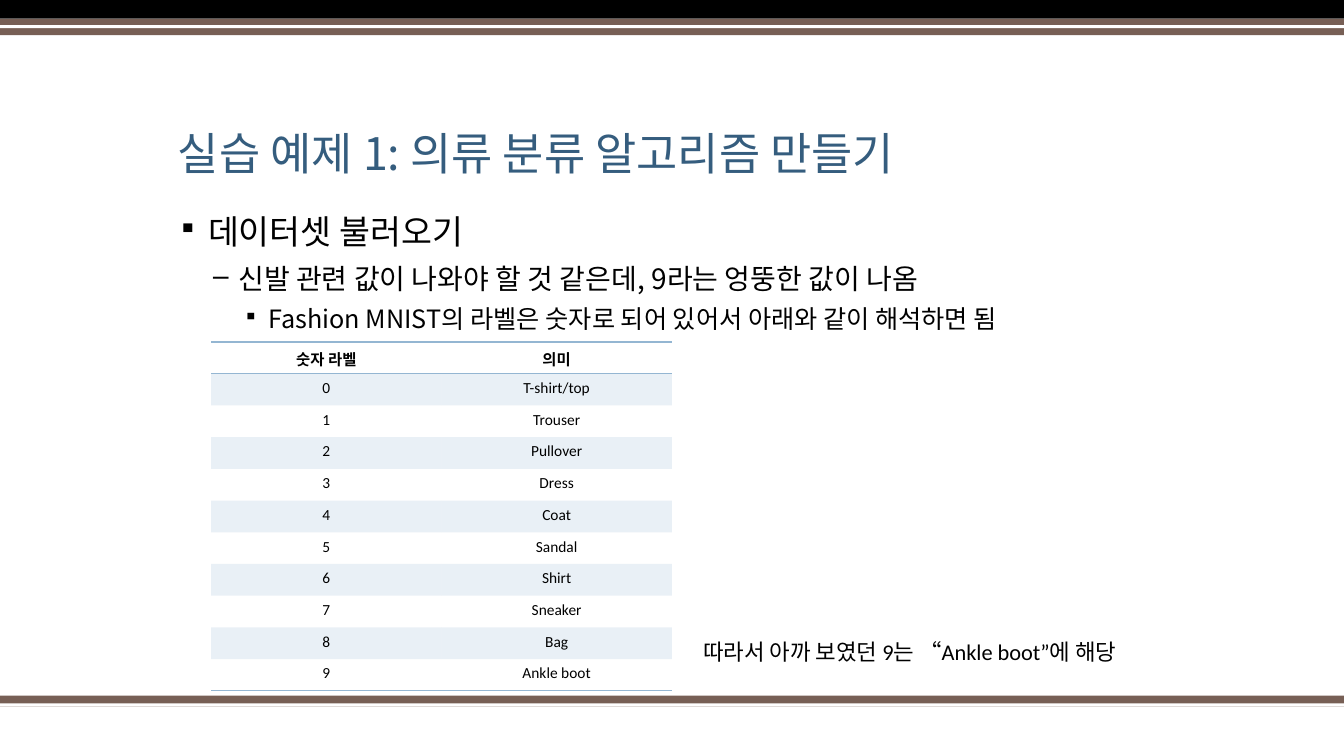
from dataclasses import dataclass

from lxml import etree
from pptx import Presentation
from pptx.dml.color import RGBColor
from pptx.enum.shapes import MSO_SHAPE
from pptx.enum.text import MSO_ANCHOR, PP_ALIGN
from pptx.oxml.ns import qn
from pptx.util import Pt

RECTANGLE = MSO_SHAPE.RECTANGLE
TOP, MIDDLE, BOTTOM = MSO_ANCHOR.TOP, MSO_ANCHOR.MIDDLE, MSO_ANCHOR.BOTTOM
LEFT, CENTER = PP_ALIGN.LEFT, PP_ALIGN.CENTER


@dataclass(frozen=True)
class Theme:
    black: str = "000000"
    white: str = "FFFFFF"
    brown: str = "775F55"
    navy: str = "355D7E"
    sky: str = "94B6D2"
    korean: str = "Noto Sans CJK KR"
    latin: str = "Calibri"
    title: int = 32
    levels: tuple = (24, 20, 18)
    note: int = 16
    cell: int = 11


theme = Theme()


def style_text(para, size, latin, color=theme.black, bold=False):
    for span in para.runs:
        span.font.size = Pt(size)
        span.font.name = latin
        span.font.bold = bold
        span.font.color.rgb = RGBColor.from_string(color)
        east_asian = etree.SubElement(span.font._element, qn("a:ea"))
        east_asian.set("typeface", theme.korean)


def add_box(left, top, width, height, anchor):
    box = page.shapes.add_textbox(Pt(left), Pt(top), Pt(width), Pt(height))
    box.text_frame.word_wrap = True
    box.text_frame.vertical_anchor = anchor
    return box.text_frame


deck = Presentation()
deck.slide_width, deck.slide_height = Pt(960), Pt(540)
page = deck.slides.add_slide(deck.slide_layouts[6])

bands = [
    (496.8, 7.92, theme.brown),
    (502.4, 2.3, theme.white),
    (0, 13.4, theme.black),
    (13.4, 11.7, theme.brown),
    (18, 2.2, theme.white),
]
for top, height, color in bands:
    band = page.shapes.add_shape(RECTANGLE, 0, Pt(top), deck.slide_width, Pt(height))
    band.shadow.inherit = False
    band.fill.solid()
    band.fill.fore_color.rgb = RGBColor.from_string(color)
    band.line.fill.background()

title = add_box(120, 48, 720, 84, BOTTOM)
title.text = "실습 예제 1: 의류 분류 알고리즘 만들기"
title.paragraphs[0].line_spacing = 0.9
style_text(title.paragraphs[0], theme.title, theme.korean, theme.navy)

outline = [
    ("데이터셋 불러오기", "▪", 80, 21.6, 21.6, 0),
    ("신발 관련 값이 나와야 할 것 같은데, 9라는 엉뚱한 값이 나옴", "–", 100, 43.2, 18, 10),
    ("Fashion MNIST의 라벨은 숫자로 되어 있어서 아래와 같이 해석하면 됨", "▪", 80, 64.8, 18, 8),
]
body = add_box(120, 150, 720, 342, TOP)
body.text = "\n".join(item[0] for item in outline)
for level, (para, item) in enumerate(zip(body.paragraphs, outline)):
    words, mark, percent, margin, hanging, before = item
    para.level = level
    para.alignment = LEFT
    para.line_spacing = 0.9
    para.space_before = Pt(before)
    properties = para._p.get_or_add_pPr()
    properties.set("marL", str(Pt(margin)))
    properties.set("indent", str(-Pt(hanging)))
    bullet_color = etree.SubElement(properties, qn("a:buClr"))
    etree.SubElement(bullet_color, qn("a:srgbClr")).set("val", theme.black)
    etree.SubElement(properties, qn("a:buSzPct")).set("val", str(percent * 1000))
    etree.SubElement(properties, qn("a:buChar")).set("char", mark)
    style_text(para, theme.levels[level], theme.korean)

garments = ["T-shirt/top", "Trouser", "Pullover", "Dress", "Coat",
            "Sandal", "Shirt", "Sneaker", "Bag", "Ankle boot"]
rows = [("숫자 라벨", "의미")] + [(str(label), name) for label, name in enumerate(garments)]
borders = {0: ("a:lnT", "a:lnB"), len(rows) - 1: ("a:lnB",)}

frame = page.shapes.add_table(len(rows), 2, Pt(150.9), Pt(244.3), Pt(329), Pt(249.15))
table = frame.table
table.first_row = table.horz_banding = False
style_id = table._tbl.tblPr.find(qn("a:tableStyleId"))
style_id.text = "{2D5ABB26-0587-4C30-8999-92F81FD0307C}"
for row_index, values in enumerate(rows):
    table.rows[row_index].height = Pt(22.65)
    for column, value in enumerate(values):
        cell = table.cell(row_index, column)
        cell.text = value
        cell.vertical_anchor = TOP if row_index else MIDDLE
        para = cell.text_frame.paragraphs[0]
        para.alignment = CENTER
        style_text(para, theme.cell, theme.latin, bold=row_index == 0)
        cell_properties = cell._tc.get_or_add_tcPr()
        for side in borders.get(row_index, ()):
            edge = etree.SubElement(cell_properties, qn(side), w=str(Pt(1)))
            paint = etree.SubElement(edge, qn("a:solidFill"))
            etree.SubElement(paint, qn("a:srgbClr")).set("val", theme.sky)
        if row_index % 2:
            cell.fill.solid()
            cell.fill.fore_color.rgb = RGBColor.from_string(theme.sky)
            tint = cell_properties.find(qn("a:solidFill")).find(qn("a:srgbClr"))
            etree.SubElement(tint, qn("a:alpha")).set("val", "20000")
        else:
            cell.fill.background()

note = add_box(481, 437, 337.7, 56.9, MIDDLE)
note.text = "따라서 아까 보였던 9는 “Ankle boot”에 해당"
note.paragraphs[0].alignment = CENTER
style_text(note.paragraphs[0], theme.note, theme.latin)

deck.save("out.pptx")
